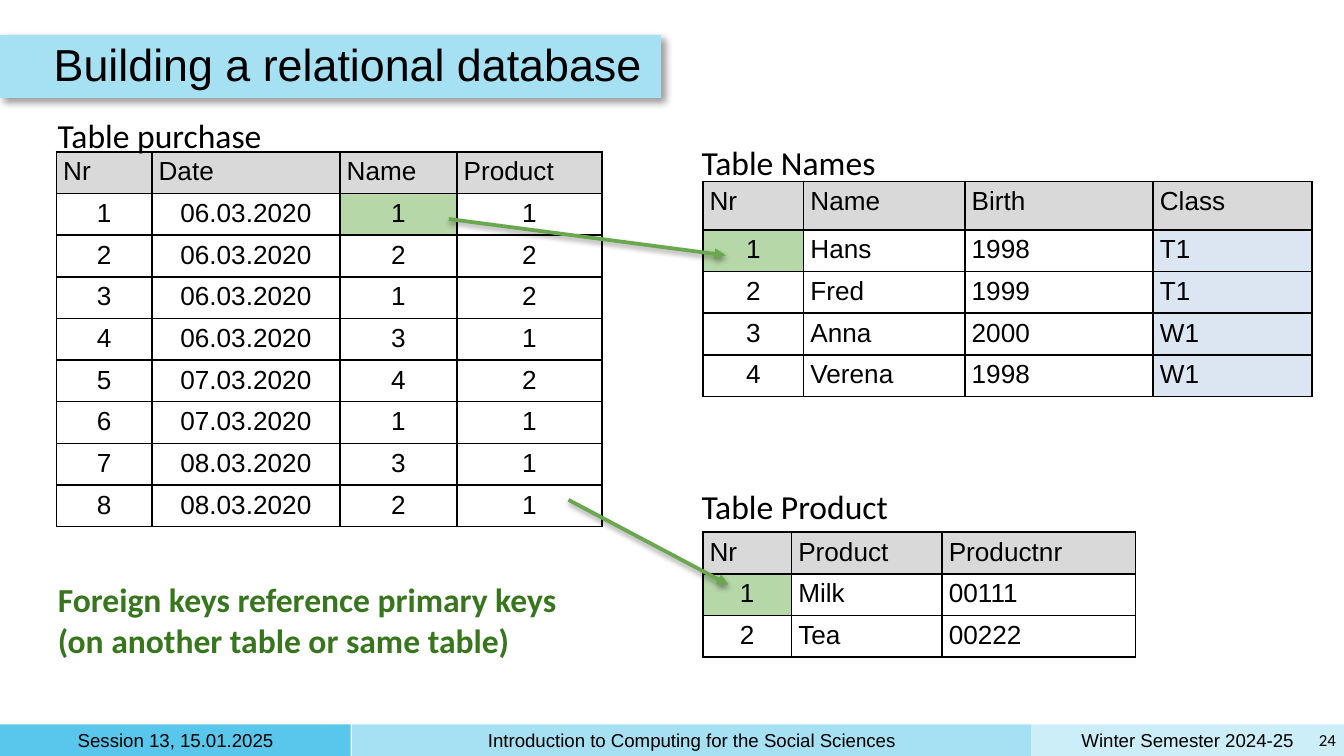
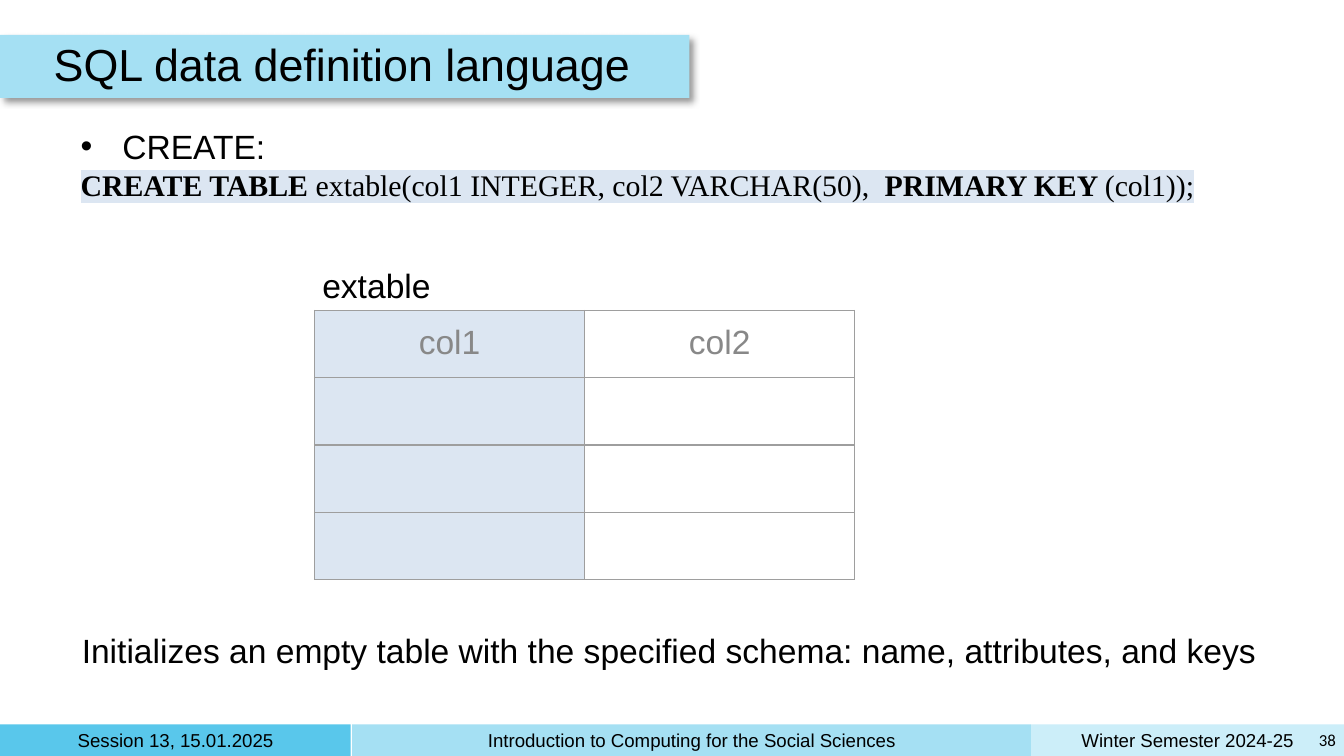
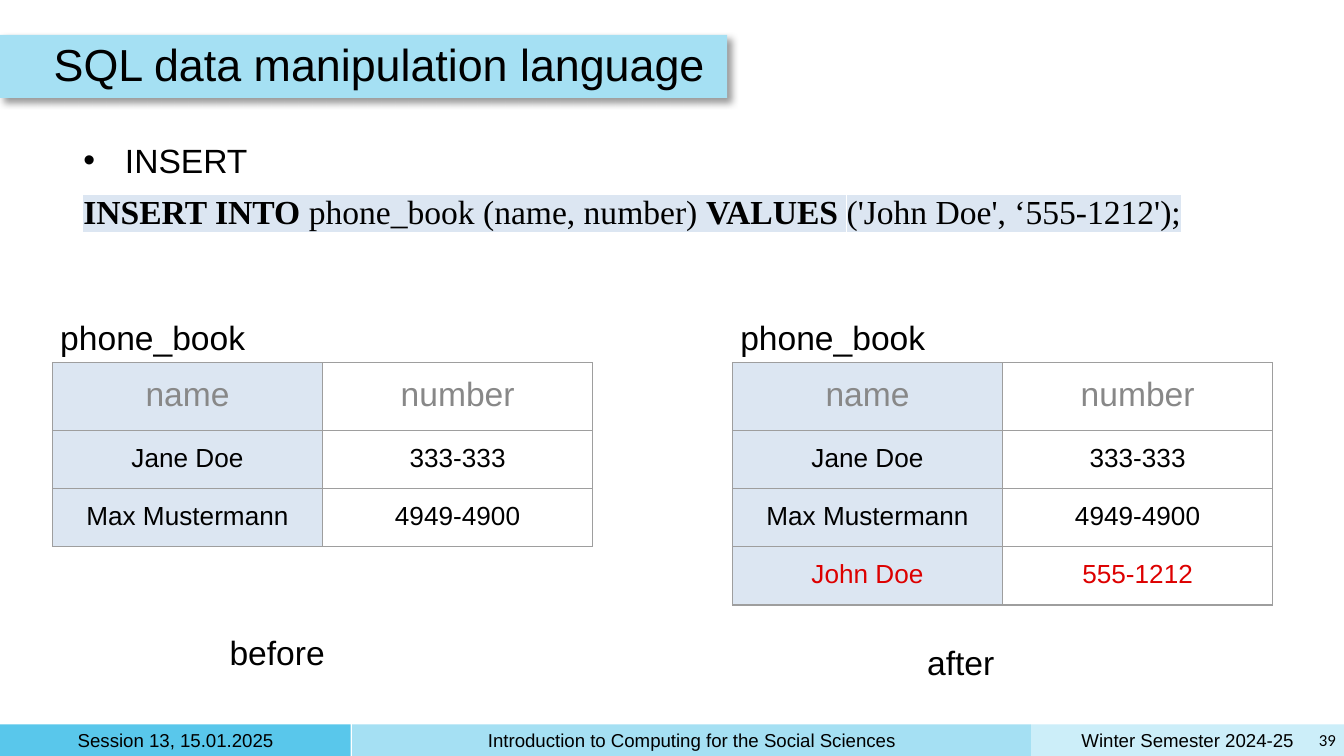
"""Builds three lecture slides on relational databases and SQL."""
from dataclasses import dataclass, field
from typing import NamedTuple

from lxml.etree import SubElement
from pptx import Presentation
from pptx.dml.color import RGBColor
from pptx.enum.shapes import MSO_CONNECTOR as CONN, MSO_SHAPE as SHAPE
from pptx.enum.text import MSO_ANCHOR as ANCHOR, PP_ALIGN as ALIGN
from pptx.oxml.ns import qn
from pptx.util import Emu, Pt

PX = 9144
BLACK, GREY, RED = "000000", "888888", "DD0000"
DARK_BLUE, BLUE, LIGHT_BLUE, KEY_BLUE = "59C7EB", "A5E0F3", "CCEEF9", "DCE6F2"
ARROW, KEY_GREEN, NOTE_GREEN = "6AA84F", "B6D7A8", "38761D"
HEAD_GREY, RULE_GREY = "D9D9D9", "9E9E9E"
SANS, HUMAN, SERIF = "Arial", "Calibri", "Times New Roman"


class Box(NamedTuple):
    left: int
    top: int
    width: int
    height: int


class Shadow(NamedTuple):
    alpha: int
    blur: float
    dist: float
    angle: int


class Band(NamedTuple):
    box: Box
    color: str
    label: str


@dataclass(frozen=True)
class TableStyle:
    rule: str
    rule_pt: float
    margins: tuple[int, int, int, int]
    head_size: int
    head_color: str
    head_align: ALIGN
    size: int = 14


@dataclass(frozen=True)
class Grid:
    left: int
    top: int
    cols: list[int]
    head_height: int
    row_height: int
    rows: list[list[str]]
    style: TableStyle
    centred: set[int]
    fills: dict[tuple[int, int], str] = field(default_factory=dict)
    red_row: int = -1


TITLE_SHADOW = Shadow(40, 4, 3, 45)
ARROW_SHADOW = Shadow(38, 3, 1.6, 90)
BANDS = [
    Band(Box(767, 539, 233, 24), LIGHT_BLUE, "Winter Semester 2024-25"),
    Band(Box(0, 539, 261, 24), DARK_BLUE, "Session 13, 15.01.2025"),
    Band(Box(262, 539, 505, 24), BLUE, "Introduction to Computing for the Social Sciences"),
]
DATA = TableStyle(BLACK, 1, (5, 4, 5, 3), 14, BLACK, ALIGN.LEFT)
SCHEMA = TableStyle(RULE_GREY, 0.75, (10, 10, 10, 10), 18, GREY, ALIGN.CENTER)


def px(n: int) -> Emu:
    """Turn px into EMU."""
    return Emu(n * PX)


def rgb(color: str) -> RGBColor:
    """Turn a hex string into a colour."""
    return RGBColor.from_string(color)


def add_run(p, text: str, *, size=18, font=SANS, color=BLACK, bold=False,
            highlight="") -> None:
    """Add a formatted run, with a line break at each newline."""
    for i, line in enumerate(text.split("\n")):
        if i:
            p.add_line_break()
        r = p.add_run()
        r.text = line
        r.font.size, r.font.name, r.font.bold = Pt(size), font, bold
        r.font.color.rgb = rgb(color)
        if highlight:
            mark = SubElement(r.font._element, qn("a:highlight"))
            SubElement(mark, qn("a:srgbClr"), val=highlight)
            r.font._element.find(qn("a:latin")).addprevious(mark)


def set_frame(tf, inset: int, anchor=ANCHOR.TOP) -> None:
    """Set wrapping, insets and anchor of a text frame."""
    tf.word_wrap = True
    tf.vertical_anchor = anchor
    tf.margin_left = tf.margin_top = tf.margin_right = tf.margin_bottom = px(inset)


def add_text(slide, box: Box, text: str, *, inset=5, anchor=ANCHOR.TOP,
             align=ALIGN.LEFT, spacing=None, **fmt) -> None:
    """Add a text box with one paragraph."""
    sp = slide.shapes.add_textbox(*map(px, box))
    set_frame(sp.text_frame, inset, anchor)
    p = sp.text_frame.paragraphs[0]
    p.alignment, p.line_spacing = align, spacing
    add_run(p, text, **fmt)


def add_shadow(sp, shadow: Shadow) -> None:
    """Give a shape or connector an outer shadow."""
    effects = SubElement(sp._element.spPr, qn("a:effectLst"))
    outer = SubElement(effects, qn("a:outerShdw"), blurRad=str(Pt(shadow.blur)),
                       dist=str(Pt(shadow.dist)), dir=str(shadow.angle * 60000),
                       algn="bl", rotWithShape="0")
    clr = SubElement(outer, qn("a:srgbClr"), val=BLACK)
    SubElement(clr, qn("a:alpha"), val=str(shadow.alpha * 1000))


def add_rect(slide, box: Box, color: str):
    """Add a plain rectangle without line."""
    sp = slide.shapes.add_shape(SHAPE.RECTANGLE, *map(px, box))
    sp.fill.solid()
    sp.fill.fore_color.rgb = rgb(color)
    sp.line.fill.background()
    return sp


def add_arrow(slide, start: tuple[int, int], end: tuple[int, int]) -> None:
    """Add a green arrow with a soft shadow."""
    cx = slide.shapes.add_connector(CONN.STRAIGHT, *map(px, start + end))
    cx.line.color.rgb = rgb(ARROW)
    cx.line.width = Pt(2)
    SubElement(cx.line._get_or_add_ln(), qn("a:tailEnd"), type="triangle")
    add_shadow(cx, ARROW_SHADOW)


def set_borders(cell, color: str, width: float) -> None:
    """Draw the four borders of a cell."""
    tc_pr = cell._tc.get_or_add_tcPr()
    for i, side in enumerate(("a:lnL", "a:lnR", "a:lnT", "a:lnB")):
        ln = tc_pr.makeelement(qn(side), {"w": str(Pt(width))})
        SubElement(SubElement(ln, qn("a:solidFill")), qn("a:srgbClr"), val=color)
        tc_pr.insert(i, ln)


def add_grid(slide, g: Grid) -> None:
    """Add a table with its fills, borders and text."""
    heights = [g.head_height] + [g.row_height] * (len(g.rows) - 1)
    box = Box(g.left, g.top, sum(g.cols), sum(heights))
    tbl = slide.shapes.add_table(len(g.rows), len(g.cols), *map(px, box)).table
    tbl.first_row = tbl.horz_banding = False
    for col, width in zip(tbl.columns, g.cols):
        col.width = px(width)
    for row, height in zip(tbl.rows, heights):
        row.height = px(height)
    st = g.style
    for i, row in enumerate(g.rows):
        for j, text in enumerate(row):
            cell = tbl.cell(i, j)
            (cell.margin_left, cell.margin_top,
             cell.margin_right, cell.margin_bottom) = map(px, st.margins)
            if (i, j) in g.fills:
                cell.fill.solid()
                cell.fill.fore_color.rgb = rgb(g.fills[i, j])
            else:
                cell.fill.background()
            set_borders(cell, st.rule, st.rule_pt)
            if not text:
                continue
            p = cell.text_frame.paragraphs[0]
            if i == 0:
                p.alignment = st.head_align
                add_run(p, text, size=st.head_size, color=st.head_color)
            else:
                p.alignment = ALIGN.CENTER if j in g.centred else ALIGN.LEFT
                add_run(p, text, size=st.size, color=RED if i == g.red_row else BLACK)


def data_grid(left: int, top: int, cols: list[int], rows: list[list[str]],
              keys: dict[tuple[int, int], str], centred: set[int], head_height=31) -> Grid:
    """Describe a black-ruled table with a grey head."""
    fills = {(0, j): HEAD_GREY for j in range(len(cols))} | keys
    return Grid(left, top, cols, head_height, 31, rows, DATA, centred, fills)


def add_schema(slide, left: int, top: int, name: str, rows: list[list[str]],
               row_height: int, red_row=-1) -> None:
    """Add a named two-column table with a blue key column."""
    fills = {(i, 0): KEY_BLUE for i in range(len(rows))}
    add_grid(slide, Grid(left, top, [201, 201], 50, row_height, rows, SCHEMA,
                         {0, 1}, fills, red_row))
    add_text(slide, Box(left - 4, top - 44, 493, 50), name, inset=10)


def add_statement(slide, box: Box, keyword: str, code: list[str], size: int, gap=0) -> None:
    """Add a bullet and a highlighted statement whose even parts are bold."""
    sp = slide.shapes.add_textbox(*map(px, box))
    tf = sp.text_frame
    set_frame(tf, 5)
    p = tf.paragraphs[0]
    p_pr = p._p.get_or_add_pPr()
    p_pr.set("marL", str(px(31)))
    p_pr.set("indent", str(px(-31)))
    SubElement(SubElement(p_pr, qn("a:buClr")), qn("a:srgbClr"), val=BLACK)
    SubElement(p_pr, qn("a:buFont"), typeface=SANS)
    SubElement(p_pr, qn("a:buChar"), char="•")
    add_run(p, keyword)
    p = tf.add_paragraph()
    p.space_before = Pt(gap)
    for i, part in enumerate(code):
        add_run(p, part, size=size, font=SERIF, bold=i % 2 == 0, highlight=KEY_BLUE)


def new_slide(prs, title: str, title_width: int, number: int):
    """Add a slide with its footer bands, page number and title."""
    s = prs.slides.add_slide(prs.slide_layouts[6])
    for band in BANDS:
        sp = add_rect(s, band.box, band.color)
        sp.shadow.inherit = False
        set_frame(sp.text_frame, 5, ANCHOR.MIDDLE)
        p = sp.text_frame.paragraphs[0]
        p.alignment = ALIGN.CENTER
        add_run(p, band.label, size=10)
    add_text(s, Box(975, 538, 24, 25), str(number), anchor=ANCHOR.MIDDLE,
             align=ALIGN.RIGHT, size=9, font=HUMAN)
    add_shadow(add_rect(s, Box(0, 26, title_width, 47), BLUE), TITLE_SHADOW)
    add_text(s, Box(35, 26, 860, 47), title, anchor=ANCHOR.MIDDLE, spacing=0.9, size=24)
    return s


def relational_slide(prs) -> None:
    """Show three tables linked by foreign keys."""
    s = new_slide(prs, "Building a relational database", 492, 24)
    names = [["Nr", "Name", "Birth", "Class"],
             ["1", "Hans", "1998", "T1"],
             ["2", "Fred", "1999", "T1"],
             ["3", "Anna", "2000", "W1"],
             ["4", "Verena", "1998", "W1"]]
    products = [["Nr", "Product", "Productnr"], ["1", "Milk", "00111"], ["2", "Tea", "00222"]]
    purchases = [["Nr", "Date", "Name", "Product"],
                 ["1", "06.03.2020", "1", "1"],
                 ["2", "06.03.2020", "2", "2"],
                 ["3", "06.03.2020", "1", "2"],
                 ["4", "06.03.2020", "3", "1"],
                 ["5", "07.03.2020", "4", "2"],
                 ["6", "07.03.2020", "1", "1"],
                 ["7", "08.03.2020", "3", "1"],
                 ["8", "08.03.2020", "2", "1"]]
    classes = {(i, 3): KEY_BLUE for i in range(1, len(names))}
    add_grid(s, data_grid(523, 135, [75, 120, 140, 118], names,
                          {(1, 0): KEY_GREEN} | classes, {0}, head_height=36))
    add_grid(s, data_grid(523, 396, [66, 112, 144], products, {(1, 0): KEY_GREEN}, {0}))
    add_grid(s, data_grid(42, 113, [71, 140, 87, 108], purchases,
                          {(1, 2): KEY_GREEN}, {0, 1, 2, 3}))
    for box, caption in ((Box(517, 101, 141, 40), "Table Names"),
                         (Box(517, 357, 150, 40), "Table Product"),
                         (Box(38, 81, 163, 40), "Table purchase")):
        add_text(s, box, caption, font=HUMAN)
    add_arrow(s, (423, 372), (542, 435))
    add_arrow(s, (334, 163), (540, 190))
    add_text(s, Box(38, 426, 385, 71),
             "Foreign keys reference primary keys\n(on another table or same table)",
             font=HUMAN, color=NOTE_GREEN, bold=True)


def definition_slide(prs) -> None:
    """Show CREATE TABLE and the empty table it makes."""
    s = new_slide(prs, "SQL data definition language", 513, 38)
    add_statement(s, Box(55, 89, 919, 67), "CREATE:",
                  ["CREATE TABLE ", "extable(col1 INTEGER, col2 VARCHAR(50),  ",
                   "PRIMARY KEY ", "(col1));"], 16)
    add_schema(s, 234, 231, "extable", [["col1", "col2"]] + [["", ""]] * 3, 50)
    add_text(s, Box(51, 459, 908, 50), "Initializes an empty table with the specified schema: "
             "name, attributes, and keys", inset=10)


def manipulation_slide(prs) -> None:
    """Show INSERT with the table before and after."""
    s = new_slide(prs, "SQL data manipulation language", 541, 39)
    add_statement(s, Box(57, 99, 919, 343), "INSERT",
                  ["INSERT INTO ", "phone_book (name, number) ",
                   "VALUES ", "('John Doe', ‘555-1212');"], 18, gap=6)
    before = [["name", "number"], ["Jane Doe", "333-333"], ["Max Mustermann", "4949-4900"]]
    after = before + [["John Doe", "555-1212"]]
    add_schema(s, 545, 270, "phone_book", after, 43, red_row=3)
    add_schema(s, 39, 270, "phone_book", before, 43)
    add_text(s, Box(161, 460, 116, 58), "before", inset=10)
    add_text(s, Box(680, 468, 116, 58), "after", inset=10)


def main() -> None:
    """Build and save the slides."""
    prs = Presentation()
    prs.slide_width = px(1000)
    prs.slide_height = Emu(prs.slide_width * 9 // 16)
    relational_slide(prs)
    definition_slide(prs)
    manipulation_slide(prs)
    prs.save("out.pptx")


if __name__ == "__main__":
    main()
